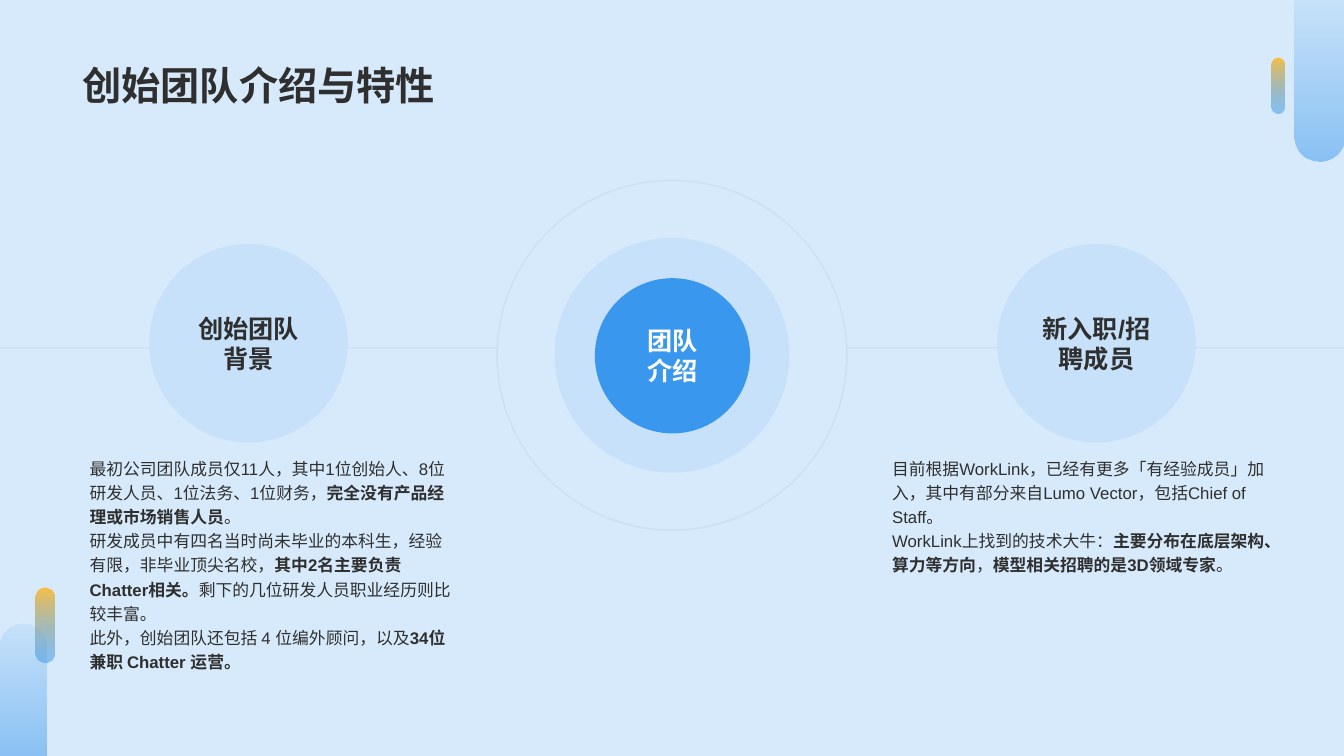
import pptx
import pptx.dml.color
import pptx.enum.shapes
import pptx.enum.text
import pptx.oxml
import pptx.oxml.ns
import pptx.util

Inches = pptx.util.Inches
SHAPE = pptx.enum.shapes.MSO_SHAPE
ANCHOR = pptx.enum.text.MSO_ANCHOR
ALIGN = pptx.enum.text.PP_ALIGN
BLUE, YELLOW, INK, GREY, WHITE = "3997ED", "F8BF47", "2F2F2F", "778495", "FFFFFF"


def rgb(value):
    return pptx.dml.color.RGBColor.from_string(value)


def set_opacity(s, *percents):
    """Give each colour of the shape, in order, its opacity."""
    for clr, percent in zip(s._element.iter(pptx.oxml.ns.qn("a:srgbClr")), percents):
        alpha = pptx.oxml.parse_xml(f"<a:alpha {pptx.oxml.ns.nsdecls('a')}/>")
        alpha.set("val", str(percent * 1000))
        clr.append(alpha)


prs = pptx.Presentation()
prs.slide_width, prs.slide_height = Inches(13.33), Inches(7.5)
slide = prs.slides.add_slide(prs.slide_layouts[6])
slide.background.fill.solid()
slide.background.fill.fore_color.rgb = rgb("D7EAFB")

# Corner bars: box, top and bottom rounding, top colour, top opacity
bars = [
    ((12.84, 0, 0.49, 1.6), (0, 0.5), BLUE, 10),
    ((0, 6.19, 0.46, 1.31), (0.5, 0), BLUE, 10),
    ((12.61, 0.57, 0.13, 0.56), (0.5, 0.5), YELLOW, 100),
    ((0.35, 5.83, 0.19, 0.74), (0.5, 0.5), YELLOW, 100),
]
for box, rounding, top_color, top_opacity in bars:
    s = slide.shapes.add_shape(SHAPE.ROUND_2_SAME_RECTANGLE, *map(Inches, box))
    s.shadow.inherit = False
    s.line.fill.background()
    s.adjustments[0], s.adjustments[1] = rounding
    s.fill.gradient()
    s.fill.gradient_angle = 270
    for stop, color in zip(s.fill.gradient_stops, (top_color, BLUE)):
        stop.color.rgb = rgb(color)
    set_opacity(s, top_opacity, 50)

# Line segments between the circles
for x1, x2 in [(0, 1.48), (3.45, 4.93), (8.4, 9.89), (11.85, 13.33)]:
    s = slide.shapes.add_connector(
        pptx.enum.shapes.MSO_CONNECTOR.STRAIGHT,
        Inches(x1), Inches(3.45), Inches(x2), Inches(3.45))
    s.line.color.rgb = rgb(GREY)
    s.line.width = pptx.util.Pt(1)
    set_opacity(s, 10)
    s._element.spPr.append(
        pptx.oxml.parse_xml(f"<a:effectLst {pptx.oxml.ns.nsdecls('a')}/>"))

# Circles: left, top, diameter, fill opacity (None for the outlined ring), lines, text colour
circles = [
    (5.5, 2.36, 2.33, 10, [], INK),
    (4.93, 1.79, 3.47, None, [], INK),
    (1.48, 2.42, 1.97, 10, ["创始团队背景"], INK),
    (5.9, 2.76, 1.54, 100, ["团队", "介绍"], WHITE),
    (9.89, 2.42, 1.97, 10, ["新入职/招聘成员"], INK),
]
for left, top, size, opacity, lines, color in circles:
    s = slide.shapes.add_shape(SHAPE.OVAL, *map(Inches, (left, top, size, size)))
    s.shadow.inherit = False
    if opacity is None:
        s.fill.background()
        s.line.color.rgb = rgb(GREY)
        s.line.width = pptx.util.Pt(1)
        set_opacity(s, 10)
    else:
        s.line.fill.background()
        s.fill.solid()
        s.fill.fore_color.rgb = rgb(BLUE)
        set_opacity(s, opacity)
    tf = s.text_frame
    tf.vertical_anchor = ANCHOR.MIDDLE
    for i, text in enumerate(lines):
        p = tf.add_paragraph() if i else tf.paragraphs[0]
        p.alignment = ALIGN.CENTER
        r = p.add_run()
        r.text = text
        r.font.color.rgb = rgb(color)
        for name, value in {"name": "Arial", "size": pptx.util.Pt(18), "bold": True}.items():
            setattr(r.font, name, value)

# Text boxes: box, anchor, size, line spacing, paragraphs of (text, bold) runs
texts = [
    ((0.72, 0.14, 11.88, 0.98), ANCHOR.BOTTOM, 28, 1.0, [
        [("创始团队介绍与特性", True)],
    ]),
    ((0.79, 4.46, 3.79, 2.18), ANCHOR.TOP, 12, 1.2, [
        [("最初公司团队成员仅11人，其中1位创始人、8位研发人员、1位法务、1位财务，", False),
         ("完全没有产品经理或市场销售人员", True), ("。", False)],
        [("研发成员中有四名当时尚未毕业的本科生，经验有限，非毕业顶尖名校，", False),
         ("其中2名主要负责Chatter相关。", True),
         ("剩下的几位研发人员职业经历则比较丰富。", False)],
        [("此外，创始团队还包括 4 位编外顾问，以及", False),
         ("34位兼职 Chatter 运营。", True)],
    ]),
    ((8.75, 4.46, 3.97, 2.18), ANCHOR.TOP, 12, 1.2, [
        [("目前根据WorkLink，已经有更多「有经验成员」加入，"
          "其中有部分来自Lumo Vector，包括Chief of Staff。", False)],
        [("WorkLink上找到的技术大牛：", False),
         ("主要分布在底层架构、算力等方向", True), ("，", False),
         ("模型相关招聘的是3D领域专家", True), ("。", False)],
    ]),
]
for box, anchor, size, spacing, paragraphs in texts:
    tf = slide.shapes.add_textbox(*map(Inches, box)).text_frame
    tf.word_wrap = True
    tf.vertical_anchor = anchor
    for i, runs in enumerate(paragraphs):
        p = tf.add_paragraph() if i else tf.paragraphs[0]
        p.line_spacing = spacing
        for text, bold in runs:
            r = p.add_run()
            r.text = text
            r.font.color.rgb = rgb(INK)
            for name, value in {"name": "Arial", "size": pptx.util.Pt(size), "bold": bold}.items():
                setattr(r.font, name, value)

prs.save("out.pptx")
